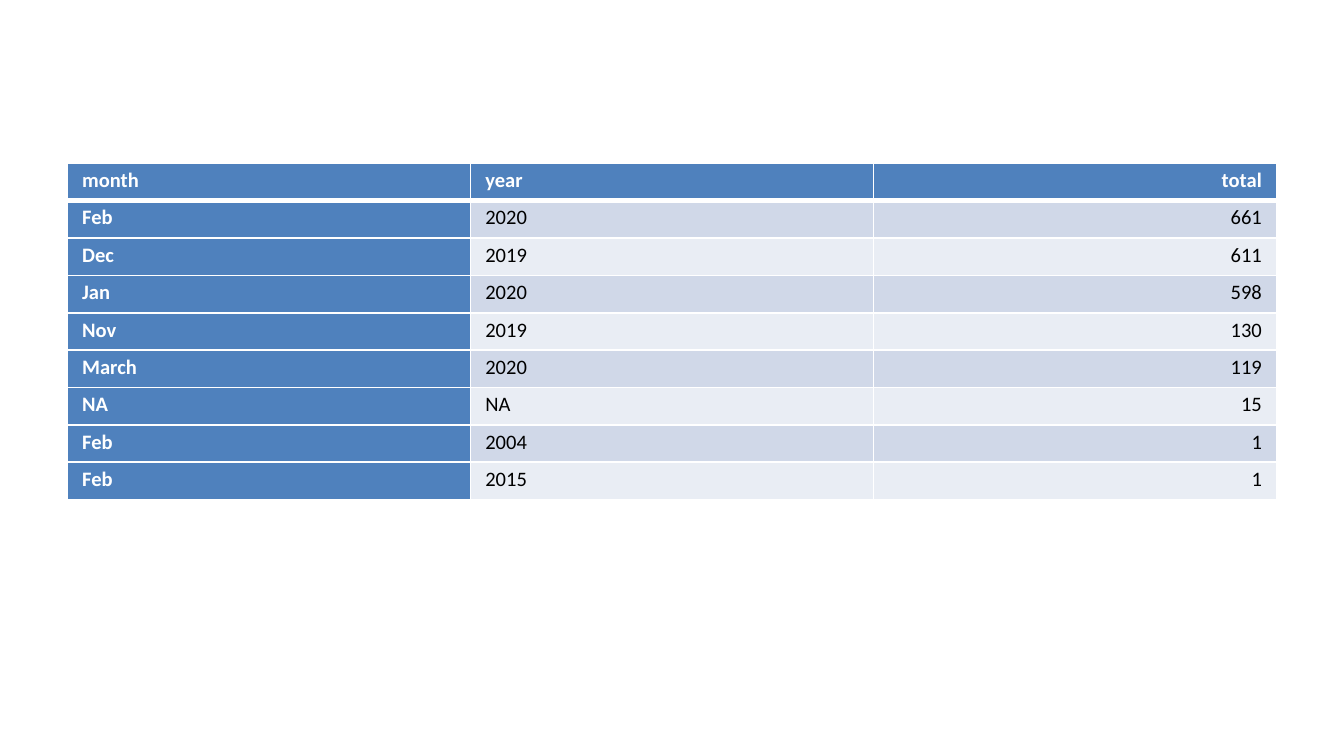
"""Build a slide with a table of monthly totals."""
import dataclasses
import typing

import lxml.etree
import pptx
import pptx.dml.color
import pptx.enum.text
import pptx.oxml.ns
import pptx.util

EMU_PER_PX = 6350


@dataclasses.dataclass(frozen=True)
class Theme:
    font: str = "Calibri"
    text_size: int = 11
    line_spacing: int = 12
    space_after: int = 6
    heading_fill: str = "4F81BD"
    heading_text: str = "FFFFFF"
    body_text: str = "000000"
    band_fills: tuple[str, str] = ("D0D8E8", "E9EDF4")
    border: str = "FFFFFF"
    border_width: int = 1
    header_rule_width: int = 3


class MonthTotal(typing.NamedTuple):
    month: str
    year: str
    total: str


THEME = Theme()
HEADER = MonthTotal("month", "year", "total")
TOTALS = [
    MonthTotal("Feb", "2020", "661"),
    MonthTotal("Dec", "2019", "611"),
    MonthTotal("Jan", "2020", "598"),
    MonthTotal("Nov", "2019", "130"),
    MonthTotal("March", "2020", "119"),
    MonthTotal("NA", "NA", "15"),
    MonthTotal("Feb", "2004", "1"),
    MonthTotal("Feb", "2015", "1"),
]


def px(length: int) -> pptx.util.Emu:
    return pptx.util.Emu(length * EMU_PER_PX)


def rgb(color: str) -> pptx.dml.color.RGBColor:
    return pptx.dml.color.RGBColor.from_string(color)


def write_text(cell, text: str, *, color: str, bold: bool, right: bool) -> None:
    para = cell.text_frame.paragraphs[0]
    align = pptx.enum.text.PP_ALIGN
    para.alignment = align.RIGHT if right else align.LEFT
    para.line_spacing = pptx.util.Pt(THEME.line_spacing)
    para.space_after = pptx.util.Pt(THEME.space_after)
    span = para.add_run()
    span.text = text
    span.font.name = THEME.font
    span.font.size = pptx.util.Pt(THEME.text_size)
    span.font.bold = bold
    span.font.color.rgb = rgb(color)


def add_borders(cell, *, top: int, bottom: int) -> None:
    qn = pptx.oxml.ns.qn
    properties = cell._tc.get_or_add_tcPr()
    widths = {"L": THEME.border_width, "R": THEME.border_width, "T": top, "B": bottom}
    for side, width in widths.items():
        line = lxml.etree.SubElement(properties, qn(f"a:ln{side}"), w=str(pptx.util.Pt(width)))
        fill = lxml.etree.SubElement(line, qn("a:solidFill"))
        lxml.etree.SubElement(fill, qn("a:srgbClr"), val=THEME.border)


def format_cell(cell, row: int, column: int, text: str) -> None:
    heading = row == 0 or column == 0
    add_borders(
        cell,
        top=THEME.header_rule_width if row == 1 else THEME.border_width,
        bottom=THEME.header_rule_width if row == 0 else THEME.border_width,
    )
    cell.fill.solid()
    cell.fill.fore_color.rgb = rgb(THEME.heading_fill if heading else THEME.band_fills[(row - 1) % 2])
    cell.margin_left = cell.margin_right = px(16)
    cell.margin_top = cell.margin_bottom = px(8)
    cell.vertical_anchor = pptx.enum.text.MSO_ANCHOR.MIDDLE
    write_text(
        cell,
        text,
        color=THEME.heading_text if heading else THEME.body_text,
        bold=heading,
        right=column == len(HEADER) - 1,
    )


def add_totals_table(page, records: list[MonthTotal], left: int, top: int, width: int, row_height: int) -> None:
    height = row_height * len(records)
    frame = page.shapes.add_table(len(records), len(HEADER), px(left), px(top), px(width), px(height))
    table = frame.table
    table.first_row = table.horz_banding = False
    for row, record in enumerate(records):
        for column, text in enumerate(record):
            format_cell(table.cell(row, column), row, column, text)


def main() -> None:
    deck = pptx.Presentation()
    deck.slide_width, deck.slide_height = px(1440), px(810)
    page = deck.slides.add_slide(deck.slide_layouts[6])
    add_totals_table(page, [HEADER, *TOTALS], left=72, top=175, width=1296, row_height=40)
    deck.save("out.pptx")


if __name__ == "__main__":
    main()
